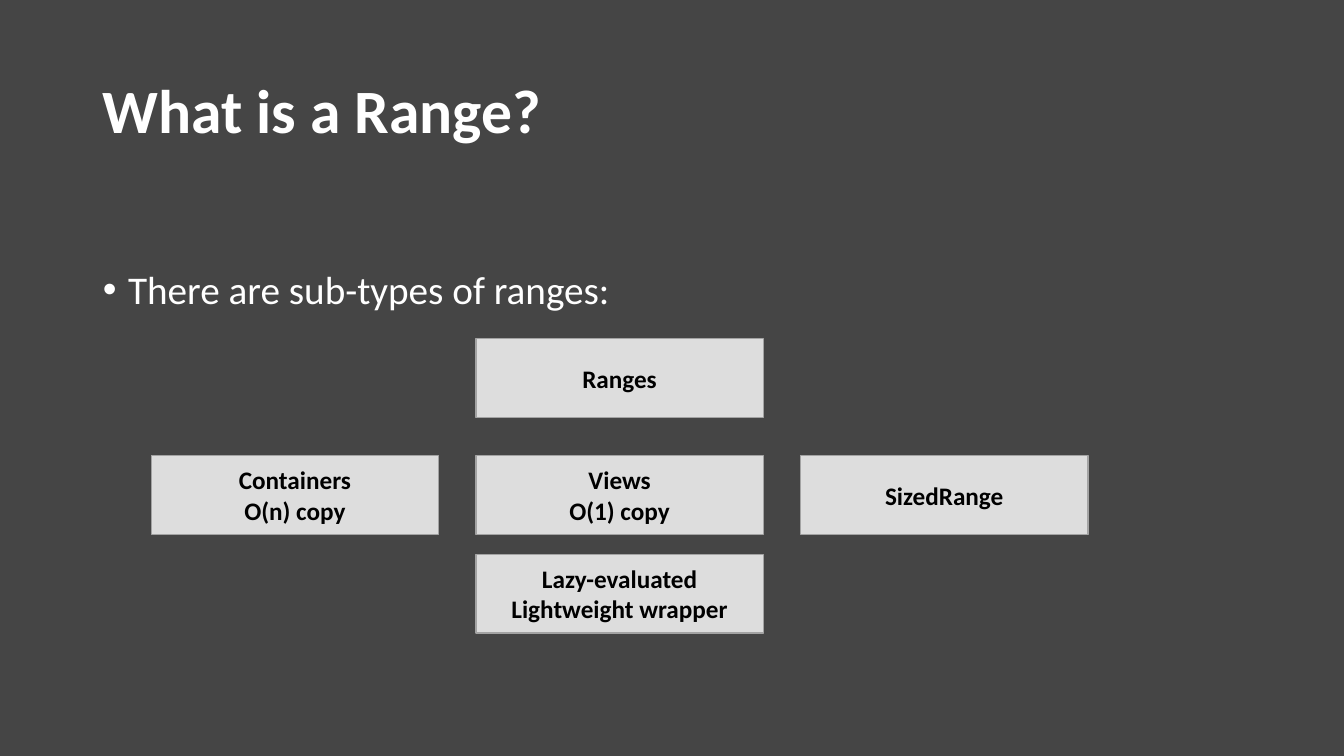
from pptx import Presentation
from pptx.dml.color import RGBColor
from pptx.enum.shapes import MSO_SHAPE
from pptx.enum.text import MSO_ANCHOR, MSO_AUTO_SIZE, PP_ALIGN
from pptx.util import Inches, Pt

RECTANGLE = MSO_SHAPE.RECTANGLE
TOP, MIDDLE = MSO_ANCHOR.TOP, MSO_ANCHOR.MIDDLE
LEFT, CENTER = PP_ALIGN.LEFT, PP_ALIGN.CENTER
NO_AUTOFIT = MSO_AUTO_SIZE.NONE

BACKGROUND = RGBColor(0x45, 0x45, 0x45)
WHITE = RGBColor(0xFF, 0xFF, 0xFF)
BLACK = RGBColor(0x00, 0x00, 0x00)
BOX_FILL = RGBColor(0xDD, 0xDD, 0xDD)
BOX_LINE = RGBColor(0xA3, 0xA3, 0xA3)

FONT = "Calibri"
MARGIN, CONTENT_WIDTH = 0.92, 11.5
GRID_LEFT, COLUMN_PITCH = 1.5, 3.22
ROW_TOPS = (3.36, 4.52, 5.5)
BOX_WIDTH, BOX_HEIGHT = 2.85, 0.78

RANGE_TYPES = (
    (1, 0, "Ranges"),
    (0, 1, "Containers\nO(n) copy"),
    (1, 1, "Views\nO(1) copy"),
    (2, 1, "SizedRange"),
    (1, 2, "Lazy-evaluated\nLightweight wrapper"),
)


class RangeSlide:
    """Draws titles, bullets and grid boxes in one style on the current slide."""

    def __init__(self, presentation):
        self.slide = presentation.slides.add_slide(presentation.slide_layouts[1])
        fill = self.slide.background.fill
        fill.solid()
        fill.fore_color.rgb = BACKGROUND

    def place(self, shape, left, top, width, height):
        shape.left, shape.top = Inches(left), Inches(top)
        shape.width, shape.height = Inches(width), Inches(height)

    def set_text(self, shape, text, size, color, bold, alignment, anchor):
        frame = shape.text_frame
        frame.text = text
        frame.word_wrap = True
        frame.auto_size = NO_AUTOFIT
        frame.vertical_anchor = anchor
        for paragraph in frame.paragraphs:
            paragraph.alignment = alignment
            paragraph.space_before = Pt(0)
            for run in paragraph.runs:
                run.font.name = FONT
                run.font.size = Pt(size)
                run.font.bold = bold
                run.font.color.rgb = color

    def title(self, text):
        shape = self.slide.shapes.title
        self.place(shape, MARGIN, 0.4, CONTENT_WIDTH, 1.45)
        self.set_text(shape, text, 44, WHITE, True, LEFT, MIDDLE)
        shape.text_frame.paragraphs[0].line_spacing = 0.9

    def bullets(self, text):
        shape = self.slide.placeholders[1]
        self.place(shape, MARGIN, 2, CONTENT_WIDTH, 4.76)
        self.set_text(shape, text, 28, WHITE, False, LEFT, TOP)
        shape.text_frame.margin_top = Inches(0.63)
        for paragraph in shape.text_frame.paragraphs:
            properties = paragraph._p.get_or_add_pPr()
            properties.set("marL", str(Inches(0.25)))
            properties.set("indent", str(-Inches(0.25)))

    def box(self, column, row, text):
        left = GRID_LEFT + column * COLUMN_PITCH
        shape = self.slide.shapes.add_shape(RECTANGLE, 0, 0, 0, 0)
        self.place(shape, left, ROW_TOPS[row], BOX_WIDTH, BOX_HEIGHT)
        shape.shadow.inherit = False
        shape.fill.solid()
        shape.fill.fore_color.rgb = BOX_FILL
        shape.line.color.rgb = BOX_LINE
        shape.line.width = Pt(1)
        self.set_text(shape, text, 18, BLACK, True, CENTER, MIDDLE)


def main():
    presentation = Presentation()
    presentation.slide_width = Inches(13.33)
    presentation.slide_height = Inches(7.5)
    range_slide = RangeSlide(presentation)
    range_slide.title("What is a Range?")
    range_slide.bullets("There are sub-types of ranges:")
    for column, row, text in RANGE_TYPES:
        range_slide.box(column, row, text)
    presentation.save("out.pptx")


if __name__ == "__main__":
    main()
